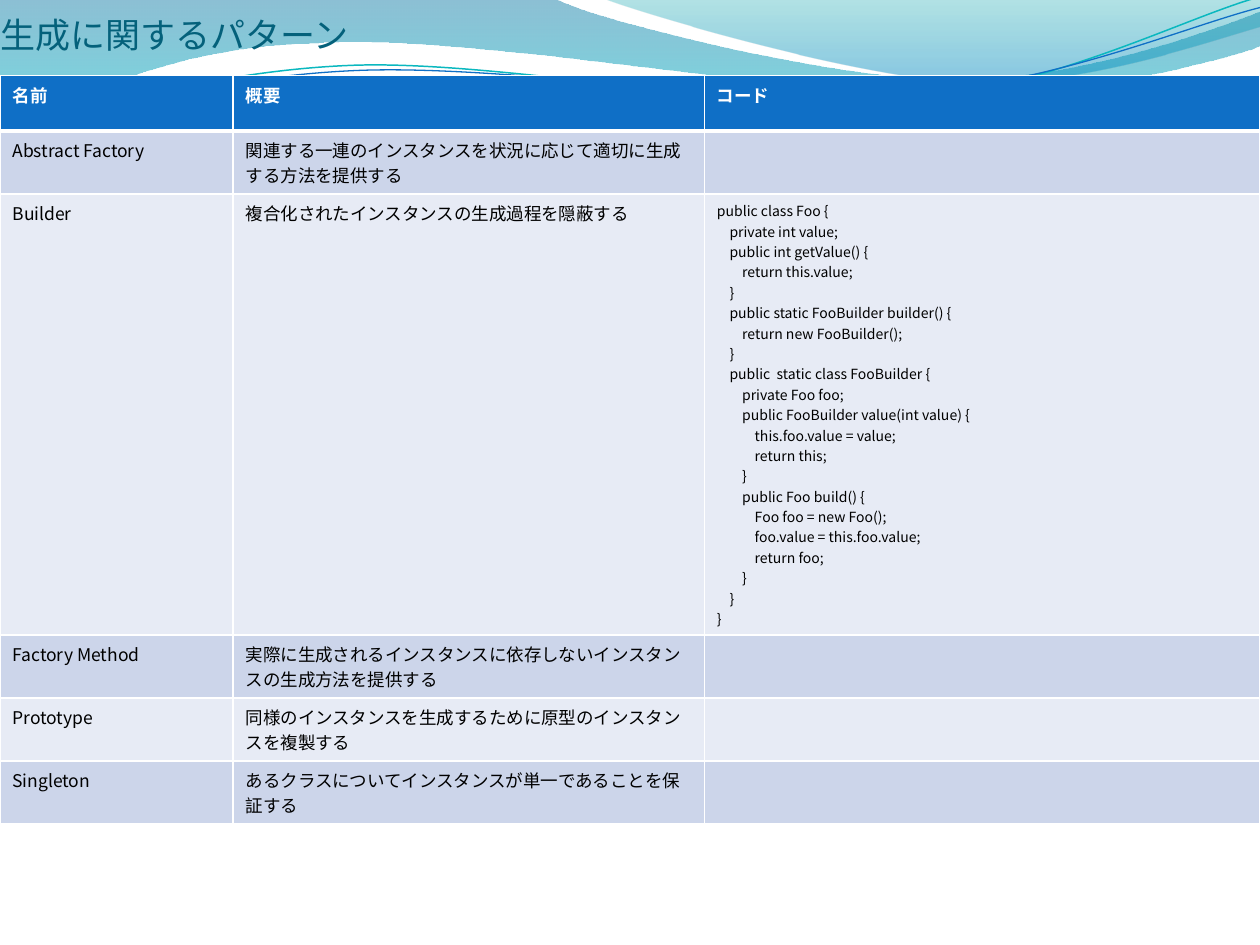
from pptx import Presentation
from pptx.dml.color import RGBColor
from pptx.enum.text import MSO_ANCHOR, MSO_AUTO_SIZE, PP_ALIGN
from pptx.oxml.ns import qn
from pptx.util import Inches, Pt
from lxml import etree

BOTTOM, NO_FIT, LEFT = MSO_ANCHOR.BOTTOM, MSO_AUTO_SIZE.NONE, PP_ALIGN.LEFT
FONT = "Noto Sans CJK JP"
W, H = 10, 7.5
TITLE = "生成に関するパターン"
HEADER = ("名前", "概要", "コード")
PATTERNS = [
    ("Abstract Factory", "関連する一連のインスタンスを状況に応じて適切に生成する方法を提供する"),
    ("Builder", "複合化されたインスタンスの生成過程を隠蔽する"),
    ("Factory Method", "実際に生成されるインスタンスに依存しないインスタンスの生成方法を提供する"),
    ("Prototype", "同様のインスタンスを生成するために原型のインスタンスを複製する"),
    ("Singleton", "あるクラスについてインスタンスが単一であることを保証する"),
]
CODE = {"Builder": [
    (0, "public class Foo {"),
    (1, "private int value;"),
    (1, "public int getValue() {"),
    (2, "return this.value;"),
    (1, "}"),
    (1, "public static FooBuilder builder() {"),
    (2, "return new FooBuilder();"),
    (1, "}"),
    (1, "public  static class FooBuilder {"),
    (2, "private Foo foo;"),
    (2, "public FooBuilder value(int value) {"),
    (3, "this.foo.value = value;"),
    (3, "return this;"),
    (2, "}"),
    (2, "public Foo build() {"),
    (3, "Foo foo = new Foo();"),
    (3, "foo.value = this.foo.value;"),
    (3, "return foo;"),
    (2, "}"),
    (1, "}"),
    (0, "}"),
]}
COLS = (0.185, 0.374, 0.441)
ROWS = (0.44, 0.47, 1.18, 0.47, 0.47, 0.47)
HEAD_FILL, BANDS = "0F6FC6", ("CCD5EA", "E7EBF5")

WAVES = [
    ([[(0, 0)], [(4.4, -0.01)],
      [(4.76, 0.17), (6.64, 0.63), (7.58, 0.63)],
      [(8.53, 0.63), (9.58, 0.26), (10, 0.09)], [(10.01, 0.36)],
      [(9.83, 0.44), (8.7, 0.76), (7.46, 0.75)],
      [(6.22, 0.75), (3.82, 0.28), (2.57, 0.34)],
      [(1.29, 0.36), (0.46, 0.83), (-0.01, 1.13)], [(0, 0)]],
     [(0, "0074A1", 45), (1, "00C6CF", 55)]),
    ([[(4.79, -0.01)],
      [(5.09, 0.11), (6.82, 0.62), (7.69, 0.65)],
      [(8.56, 0.69), (9.61, 0.32), (10, 0.21)], [(10, 0)], [(4.79, -0.01)]],
     [(0, "00A1A9", 30), (0.8, "008BBF", 45)]),
]
STRANDS = [
    ([[(0, 1.11)],
      [(0.48, 0.93), (1.58, 0.57), (2.77, 0.52)],
      [(3.95, 0.47), (5.93, 0.89), (7.13, 0.8)],
      [(8.33, 0.71), (9.38, 0.15), (9.98, -0.02)]], "0AB8BF", 0.85),
    ([[(0, 1.04)],
      [(0.47, 0.96), (1.64, 0.61), (2.83, 0.56)],
      [(4.03, 0.51), (5.97, 0.84), (7.17, 0.75)],
      [(8.36, 0.67), (9.41, 0.21), (10, 0.06)]], "0F6FC6", 0.75),
]


def rgb(value):
    return RGBColor.from_string(value)


def add_outline(s, segments, close):
    points = [(Inches(x), Inches(y)) for seg in segments for x, y in seg]
    builder = s.shapes.build_freeform(*points[0])
    builder.add_line_segments(points[1:], close=close)
    sp = builder.convert_to_shape()
    sp.shadow.inherit = False
    lines = iter(list(sp._element.iter(qn("a:lnTo"))))
    for seg in segments[1:]:
        steps = [next(lines) for _ in seg]
        if len(steps) == 3:
            curve = etree.Element(qn("a:cubicBezTo"))
            steps[0].addprevious(curve)
            for step in steps:
                curve.append(step[0])
                step.getparent().remove(step)
    return sp


def add_wave(s, segments, stops):
    sp = add_outline(s, segments, True)
    sp.line.fill.background()
    sp.fill.gradient()
    sp.fill.gradient_angle = 270
    for stop, (position, color, _) in zip(sp.fill.gradient_stops, stops):
        stop.position = position
        stop.color.rgb = rgb(color)
    for clr, (_, _, opacity) in zip(sp._element.iter(qn("a:srgbClr")), stops):
        etree.SubElement(clr, qn("a:alpha")).set("val", str(opacity * 1000))


def add_strand(s, segments, color, width):
    sp = add_outline(s, segments, False)
    sp.fill.background()
    sp.line.color.rgb = rgb(color)
    sp.line.width = Pt(width)


def write(p, text, size, color, bold=False):
    p.text = text
    p.font.name, p.font.size, p.font.bold = FONT, Pt(size), bold
    p.font.color.rgb = rgb(color)
    latin = p._p.pPr.find(".//" + qn("a:latin"))
    ea = etree.Element(qn("a:ea"))
    ea.set("typeface", FONT)
    latin.addnext(ea)


def write_code(tf, lines):
    for i, (level, text) in enumerate(lines):
        p = tf.add_paragraph() if i else tf.paragraphs[0]
        write(p, text, 8, "000000")
        p._p.pPr.set("marL", str(Inches(0.1 * level)))
        p._p.pPr.set("indent", "0")


def add_borders(cell, widths):
    tc_pr = cell._tc.get_or_add_tcPr()
    for i, (side, width) in enumerate(zip("LRTB", widths)):
        ln = etree.Element(qn("a:ln" + side))
        ln.set("w", str(Pt(width)))
        fill = etree.SubElement(ln, qn("a:solidFill"))
        etree.SubElement(fill, qn("a:srgbClr")).set("val", "FFFFFF")
        tc_pr.insert(i, ln)


def add_title(s):
    sp = s.shapes.title
    s.shapes._spTree.append(sp._element)
    sp.left, sp.top, sp.width, sp.height = 0, 0, Inches(W), Inches(0.44)
    tf = sp.text_frame
    tf.auto_size, tf.vertical_anchor = NO_FIT, BOTTOM
    tf.margin_left = tf.margin_right = tf.margin_bottom = 0
    tf.margin_top = Inches(0.05)
    write(tf.paragraphs[0], TITLE, 20, "04617B")
    tf.paragraphs[0].alignment = LEFT


def add_patterns(s):
    table = s.shapes.add_table(len(ROWS), len(COLS), 0, Inches(0.08 * H),
                               Inches(W), Inches(sum(ROWS))).table
    for col, share in zip(table.columns, COLS):
        col.width = Inches(share * W)
    for row, height in zip(table.rows, ROWS):
        row.height = Inches(height)
    for r, texts in enumerate([HEADER, *PATTERNS]):
        head = r == 0
        for c in range(len(COLS)):
            cell = table.cell(r, c)
            cell.fill.solid()
            cell.fill.fore_color.rgb = rgb(HEAD_FILL if head else BANDS[(r - 1) % 2])
            add_borders(cell, (1, 1, 3 if r == 1 else 1, 3 if head else 1))
            if c < len(texts):
                write(cell.text_frame.paragraphs[0], texts[c], 10,
                      "FFFFFF" if head else "000000", head)
        write_code(table.cell(r, 2).text_frame, CODE.get(texts[0], []))


def main():
    prs = Presentation()
    prs.slide_width, prs.slide_height = Inches(W), Inches(H)
    s = prs.slides.add_slide(prs.slide_layouts[5])
    for wave in WAVES:
        add_wave(s, *wave)
    for strand in STRANDS:
        add_strand(s, *strand)
    add_title(s)
    add_patterns(s)
    prs.save("out.pptx")


if __name__ == "__main__":
    main()
